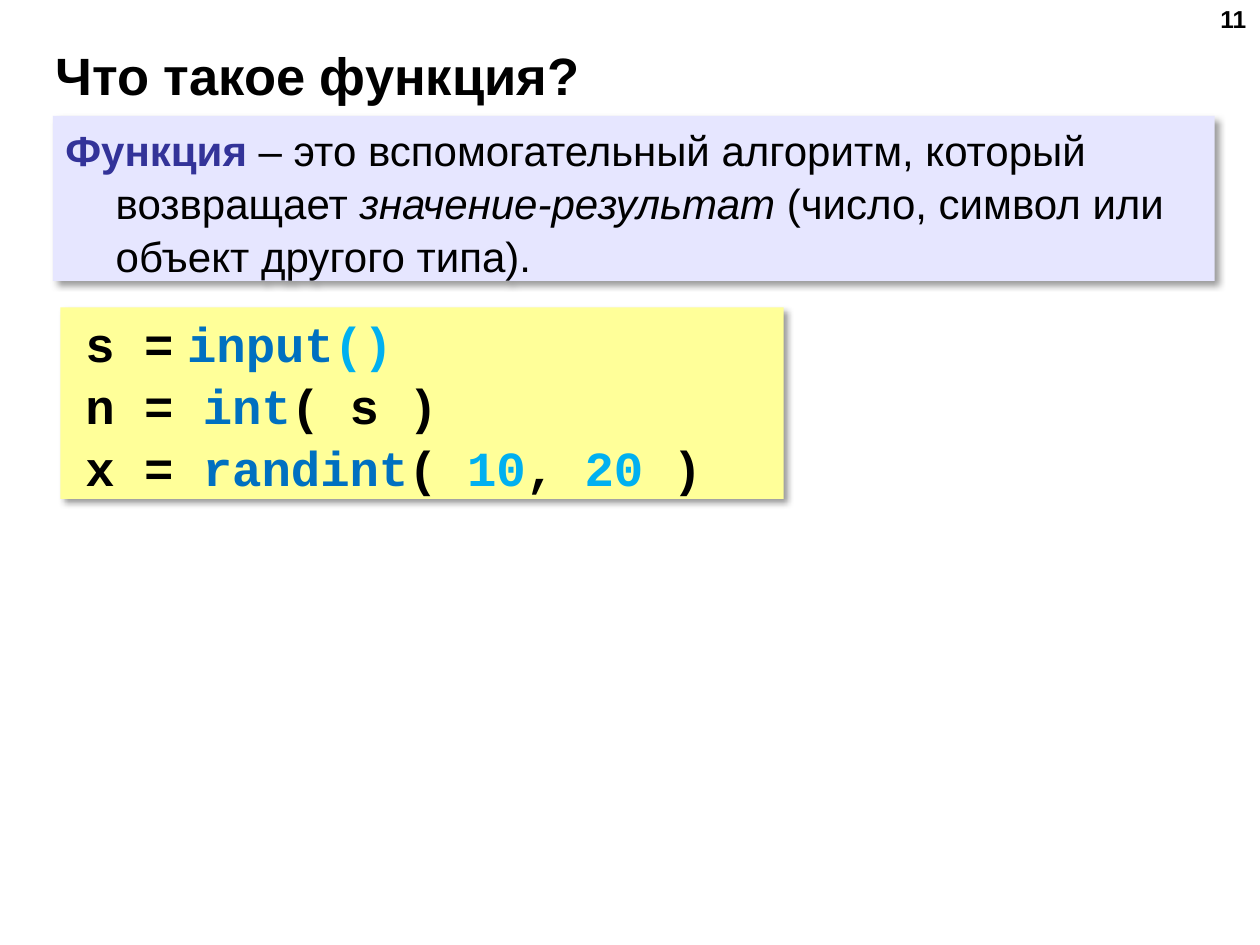
from dataclasses import dataclass

from lxml import etree
from pptx import Presentation
from pptx import util as u
from pptx.dml.color import RGBColor
from pptx.enum import shapes, text
from pptx.oxml import ns


@dataclass(frozen=True)
class Theme:
    sans: str = "Arial"
    mono: str = "Courier New"
    ink: str = "000000"
    term: str = "333399"
    function: str = "0070C0"
    literal: str = "00B0F0"
    definition_fill: str = "E6E6FF"
    code_fill: str = "FFFF99"
    title_size: int = 30
    number_size: int = 14
    body_size: int = 24
    code_size: int = 28
    line_spacing: float = 1.05


THEME = Theme()


def add_run(paragraph, words, size, color=THEME.ink, font=THEME.sans, bold=True, italic=False):
    run = paragraph.add_run()
    run.text = words
    run.font.name = font
    run.font.size = u.Pt(size)
    run.font.bold = bold
    run.font.italic = italic
    run.font.color.rgb = RGBColor.from_string(color)


def add_text_box(slide, box, anchor):
    frame = slide.shapes.add_textbox(*map(u.Inches, box)).text_frame
    frame.word_wrap = True
    frame.vertical_anchor = anchor
    return frame


def add_shadow(shape):
    shape.shadow.inherit = False
    effects = shape._element.spPr.find(ns.qn("a:effectLst"))
    shadow = etree.SubElement(
        effects, ns.qn("a:outerShdw"), blurRad=str(u.Pt(4)), dist=str(u.Pt(3)),
        dir=str(45 * 60000), algn="tl", rotWithShape="0")
    color = etree.SubElement(shadow, ns.qn("a:srgbClr"), val=THEME.ink)
    etree.SubElement(color, ns.qn("a:alpha"), val="40000")


def add_panel(slide, box, fill, anchor):
    shape = slide.shapes.add_shape(shapes.MSO_SHAPE.RECTANGLE, *map(u.Inches, box))
    shape.fill.solid()
    shape.fill.fore_color.rgb = RGBColor.from_string(fill)
    shape.line.fill.background()
    add_shadow(shape)
    frame = shape.text_frame
    frame.word_wrap = True
    frame.auto_size = text.MSO_AUTO_SIZE.SHAPE_TO_FIT_TEXT
    frame.vertical_anchor = anchor
    return frame


def format_paragraph(paragraph, left, first_line):
    paragraph.alignment = text.PP_ALIGN.LEFT
    paragraph.line_spacing = THEME.line_spacing
    properties = paragraph._p.get_or_add_pPr()
    properties.set("marL", str(u.Inches(left)))
    properties.set("indent", str(u.Inches(first_line)))


def add_title(slide, box, words):
    frame = add_text_box(slide, box, text.MSO_ANCHOR.MIDDLE)
    add_run(frame.paragraphs[0], words, THEME.title_size)


def add_page_number(slide, box, number):
    paragraph = add_text_box(slide, box, text.MSO_ANCHOR.TOP).paragraphs[0]
    paragraph.alignment = text.PP_ALIGN.RIGHT
    add_run(paragraph, number, THEME.number_size)


def add_definition(slide, box):
    frame = add_panel(slide, box, THEME.definition_fill, text.MSO_ANCHOR.TOP)
    paragraph = frame.paragraphs[0]
    format_paragraph(paragraph, 0.4, -0.4)
    size = THEME.body_size
    add_run(paragraph, "Функция", size, THEME.term)
    add_run(paragraph, " – это вспомогательный алгоритм, который возвращает ", size, bold=False)
    add_run(paragraph, "значение-результат", size, bold=False, italic=True)
    add_run(paragraph, " (число, символ или объект другого типа).", size, bold=False)


def add_code(slide, box, lines):
    frame = add_panel(slide, box, THEME.code_fill, text.MSO_ANCHOR.MIDDLE)
    for index, line in enumerate(lines):
        paragraph = frame.add_paragraph() if index else frame.paragraphs[0]
        format_paragraph(paragraph, 0, 0.1)
        for words, color, font in line:
            add_run(paragraph, words, THEME.code_size, color, font)


def plain(words, font=THEME.mono):
    return words, THEME.ink, font


def function(words):
    return words, THEME.function, THEME.mono


def literal(words):
    return words, THEME.literal, THEME.mono


def main():
    presentation = Presentation()
    presentation.slide_width = u.Inches(10)
    presentation.slide_height = u.Inches(7.5)
    slide = presentation.slides.add_slide(presentation.slide_layouts[6])
    add_title(slide, (0.34, 0.33, 9.16, 0.52), "Что такое функция?")
    add_page_number(slide, (7.66, -0.02, 2.33, 0.52), "11")
    add_definition(slide, (0.42, 0.92, 9.22, 1.31))
    add_code(slide, (0.48, 2.44, 5.74, 1.52), [
        [plain("s ="), plain(" ", THEME.sans), function("input"), literal("()")],
        [plain("n = "), function("int"), plain("( s )")],
        [plain("x = "), function("randint"), plain("( "), literal("10"),
         plain(", "), literal("20"), plain(" )")],
    ])
    presentation.save("out.pptx")


if __name__ == "__main__":
    main()
